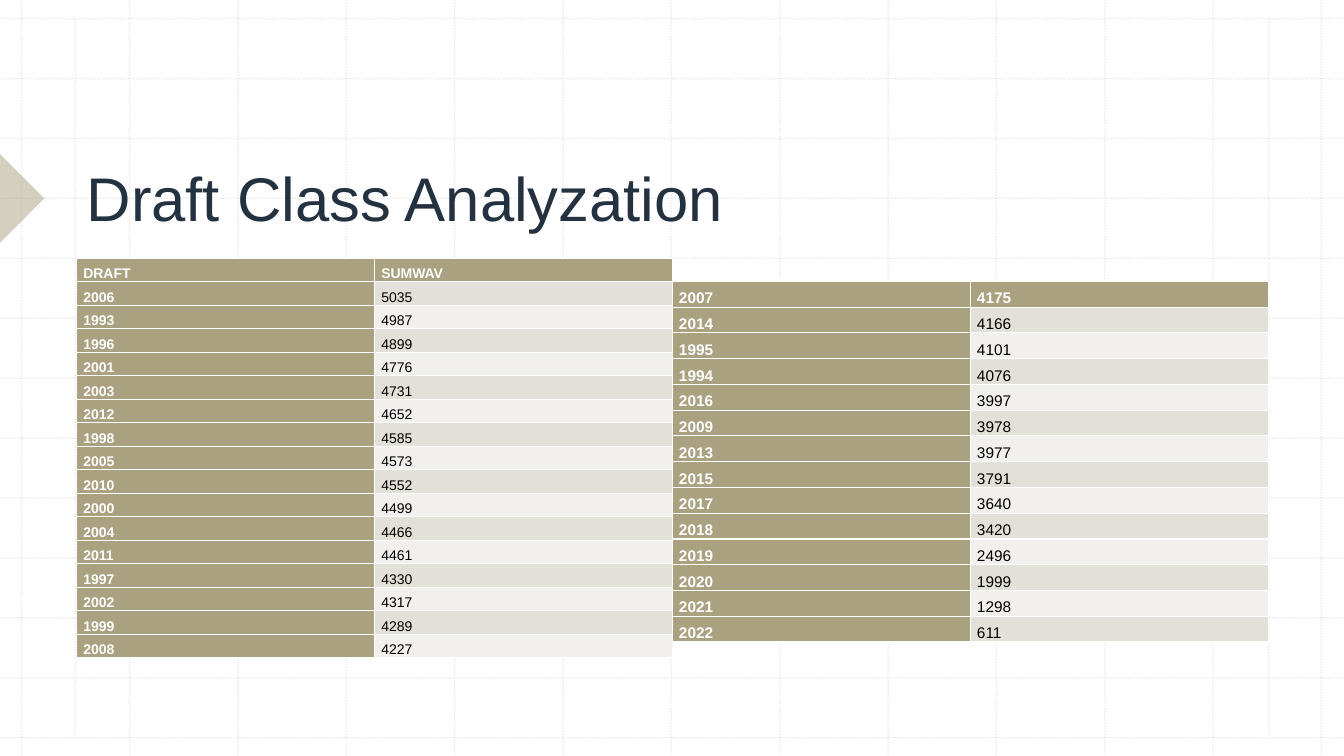
from lxml.etree import SubElement
from pptx import Presentation
from pptx.dml.color import RGBColor
from pptx.enum.dml import MSO_LINE
from pptx.enum.shapes import MSO_CONNECTOR, MSO_SHAPE
from pptx.enum.text import MSO_ANCHOR, MSO_AUTO_SIZE, PP_ALIGN
from pptx.oxml.ns import qn
from pptx.util import Cm, Pt

WIDTH, HEIGHT = 33.87, 19.05
FONT = "Arial"
COLORS = {
    "grid": "BCBCBC",
    "accent": "AAA180",
    "title": "243141",
    "band_dark": "E2E0D8",
    "band_light": "F1F0ED",
    "white": "FFFFFF",
    "black": "000000",
}
TOP_CLASSES = [
    ("DRAFT", "SUMWAV"), ("2006", "5035"), ("1993", "4987"), ("1996", "4899"),
    ("2001", "4776"), ("2003", "4731"), ("2012", "4652"), ("1998", "4585"),
    ("2005", "4573"), ("2010", "4552"), ("2000", "4499"), ("2004", "4466"),
    ("2011", "4461"), ("1997", "4330"), ("2002", "4317"), ("1999", "4289"),
    ("2008", "4227"),
]
LOWER_CLASSES = [
    ("2007", "4175"), ("2014", "4166"), ("1995", "4101"), ("1994", "4076"),
    ("2016", "3997"), ("2009", "3978"), ("2013", "3977"), ("2015", "3791"),
    ("2017", "3640"), ("2018", "3420"), ("2019", "2496"), ("2020", "1999"),
    ("2021", "1298"), ("2022", "611"),
]


def color(name):
    return RGBColor.from_string(COLORS[name])


def set_opacity(shape, percent):
    """Apply an opacity to the only solid colour of the shape."""
    rgb = shape.element.spPr.find(".//" + qn("a:srgbClr"))
    SubElement(rgb, qn("a:alpha"), val=str(percent * 1000))


def add_grid_line(slide, x1, y1, x2, y2):
    line = slide.shapes.add_connector(
        MSO_CONNECTOR.STRAIGHT, Cm(x1), Cm(y1), Cm(x2), Cm(y2))
    line.line.color.rgb = color("grid")
    line.line.width = Pt(1)
    line.line.dash_style = MSO_LINE.ROUND_DOT
    set_opacity(line, 30)
    SubElement(line.element.spPr, qn("a:effectLst"))


def add_grid(slide):
    left, top, steps = 0.54, 0.47, 13
    for step in range(steps):
        x = left + 2.73 * step
        y = top + 1.51 * step
        add_grid_line(slide, x, 0, x, HEIGHT)
        add_grid_line(slide, 0, y, WIDTH, y)
    for margin in (1.9, 31.97):
        add_grid_line(slide, margin, top, margin, HEIGHT - top)


def add_edge_marker(slide):
    """Add the triangle that points inward from the left edge."""
    size = 1.58
    marker = slide.shapes.add_shape(
        MSO_SHAPE.RIGHT_TRIANGLE, Cm(-size / 2), Cm(4.21), Cm(size), Cm(size))
    marker.rotation = 225
    marker.shadow.inherit = False
    marker.fill.solid()
    marker.fill.fore_color.rgb = color("accent")
    marker.line.fill.background()
    set_opacity(marker, 50)


def set_title(slide, text):
    """Fill the title placeholder and bring it in front of the grid."""
    title = slide.shapes.title
    title.left, title.top = Cm(1.93), Cm(2.01)
    title.width, title.height = Cm(28.68), Cm(4.01)
    frame = title.text_frame
    frame.text = text
    frame.word_wrap = True
    frame.auto_size = MSO_AUTO_SIZE.NONE
    frame.vertical_anchor = MSO_ANCHOR.BOTTOM
    paragraph = frame.paragraphs[0]
    paragraph.alignment = PP_ALIGN.LEFT
    paragraph.font.name = FONT
    paragraph.font.size = Pt(44)
    paragraph.font.color.rgb = color("title")
    slide.shapes.element.append(title.element)


def format_cell(cell, text, size, fill, emphasized):
    cell.fill.solid()
    cell.fill.fore_color.rgb = color(fill)
    cell.margin_left = cell.margin_right = Cm(0.17)
    cell.margin_top = cell.margin_bottom = 0
    cell.text = text
    paragraph = cell.text_frame.paragraphs[0]
    paragraph.line_spacing = 1.5
    paragraph.font.name = FONT
    paragraph.font.size = Pt(size)
    paragraph.font.bold = emphasized
    paragraph.font.color.rgb = color("white" if emphasized else "black")


def add_class_table(slide, rows, left, top, row_height, size):
    table = slide.shapes.add_table(
        len(rows), 2, Cm(left), Cm(top), Cm(15.02),
        Cm(row_height * len(rows))).table
    table.first_col = True
    for row_index, row in enumerate(rows):
        table.rows[row_index].height = Cm(row_height)
        band = "band_dark" if row_index % 2 else "band_light"
        for column_index, text in enumerate(row):
            emphasized = row_index == 0 or column_index == 0
            format_cell(table.cell(row_index, column_index), text, size,
                        "accent" if emphasized else band, emphasized)


def main():
    presentation = Presentation()
    presentation.slide_width = Cm(WIDTH)
    presentation.slide_height = Cm(HEIGHT)
    slide = presentation.slides.add_slide(presentation.slide_layouts[5])
    add_grid(slide)
    add_edge_marker(slide)
    set_title(slide, "Draft Class Analyzation")
    add_class_table(slide, TOP_CLASSES, 1.93, 6.51, 0.58, 10)
    add_class_table(slide, LOWER_CLASSES, 16.94, 7.09, 0.62, 11)
    presentation.save("out.pptx")


if __name__ == "__main__":
    main()
